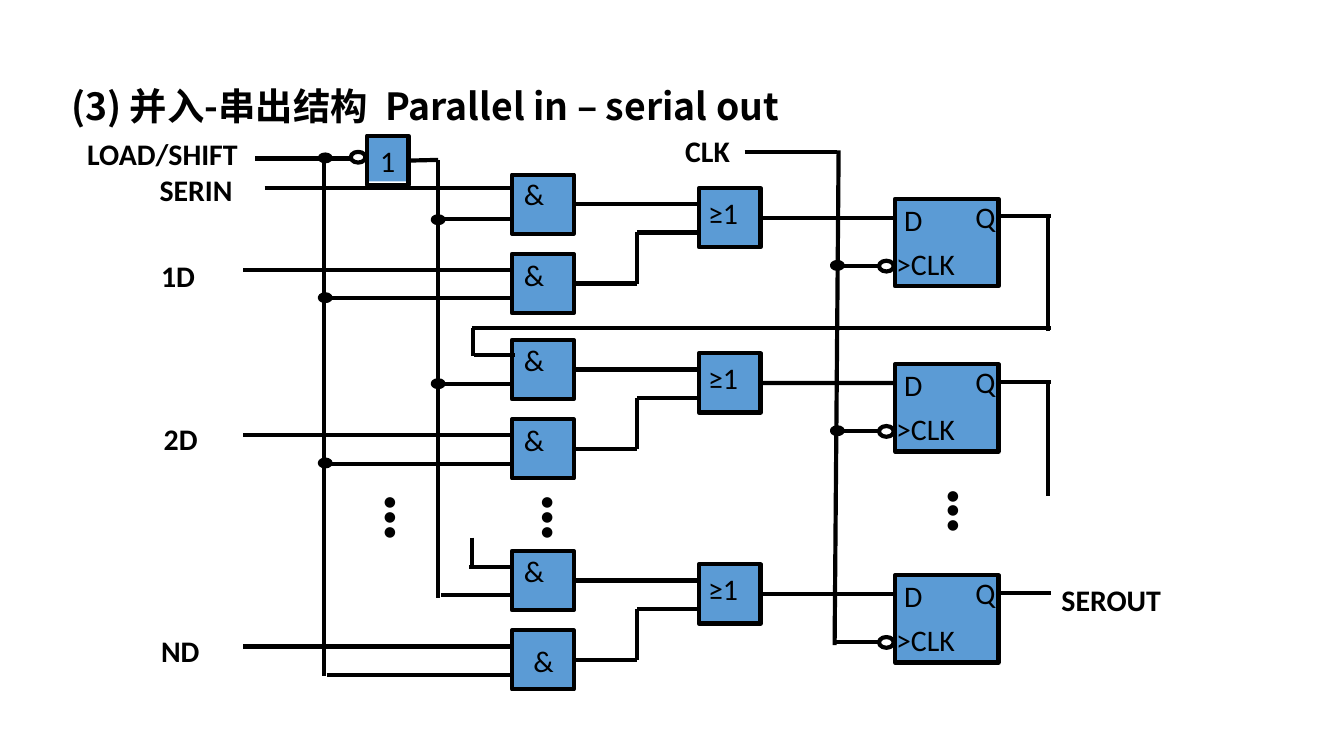
"""Build the parallel-in, serial-out shift register slide."""
from pptx import Presentation
from pptx.dml.color import RGBColor
from pptx.enum.shapes import MSO_CONNECTOR, MSO_SHAPE
from pptx.enum.text import MSO_ANCHOR, PP_ALIGN
from pptx.oxml.ns import qn
from pptx.util import Inches, Pt
from lxml import etree

BLACK, BLUE = "000000", "5B9BD5"
LABEL_FORMAT = {"name": "Calibri", "size": Pt(16), "bold": False}
BOLD_FORMAT = {**LABEL_FORMAT, "bold": True}
TITLE_FORMAT = {"name": "Noto Sans CJK JP", "size": Pt(20), "bold": True}
RIGHT_SIDE = 3
GATE_SIZE = (0.46, 0.44)

presentation = Presentation()
presentation.slide_width = Inches(10)
presentation.slide_height = Inches(10) * 9 // 16
slide = presentation.slides.add_slide(presentation.slide_layouts[6])


def add_box(left, top, width, height, kind=None, fill=None, outline=True, text="", formats=LABEL_FORMAT):
    position = [Inches(value) for value in (left, top, width, height)]
    if kind is None:
        shape = slide.shapes.add_textbox(*position)
    else:
        shape = slide.shapes.add_shape(kind, *position)
        shape.shadow.inherit = False
        if fill:
            shape.fill.solid()
            shape.fill.fore_color.rgb = RGBColor.from_string(fill)
        else:
            shape.fill.background()
        if outline:
            shape.line.color.rgb = RGBColor.from_string(BLACK)
            shape.line.width = Pt(2.25)
        else:
            shape.line.fill.background()
    if text:
        frame = shape.text_frame
        frame.word_wrap = True
        frame.vertical_anchor = MSO_ANCHOR.TOP
        paragraph = frame.paragraphs[0]
        paragraph.alignment = PP_ALIGN.LEFT
        run = paragraph.add_run()
        run.text = text
        for name, value in formats.items():
            setattr(run.font, name, value)
        run.font.color.rgb = RGBColor.from_string(BLACK)
    return shape


def add_line(x1, y1, x2, y2, source=None):
    line = slide.shapes.add_connector(
        MSO_CONNECTOR.STRAIGHT, Inches(x1), Inches(y1), Inches(x2), Inches(y2))
    line.line.color.rgb = RGBColor.from_string(BLACK)
    line.line.width = Pt(2.25)
    etree.SubElement(line.element.spPr, qn("a:effectLst"))
    if source is not None:
        line.begin_connect(source, RIGHT_SIDE)


title = add_box(0.43, 0.61, 8.08, 0.5, text="(3) 并入-串出结构  Parallel in – serial out", formats=TITLE_FORMAT)
title_paragraph = title.text_frame.paragraphs[0]
title_paragraph.line_spacing = 0.9
east_asian = etree.SubElement(title_paragraph.runs[0].font._element, qn("a:ea"))
east_asian.set("typeface", TITLE_FORMAT["name"])

stages = [
    ("1D", 1.1, 1.87, 1.3, 6.23, 3.8, 1.86),
    ("2D", 1.12, 3.08, 2.53, 6.23, 3.8, 3.09),
    ("ND", 1.1, 4.66, 4.1, 6.21, 3.87, 4.73),
]
for name, name_left, name_top, top, clock_x, and_left, and_top in stages:
    shift_gate = add_box(3.81, top, *GATE_SIZE, MSO_SHAPE.RECTANGLE, BLUE)
    load_gate = add_box(3.81, top + 0.59, *GATE_SIZE, MSO_SHAPE.RECTANGLE, BLUE)
    or_gate = add_box(5.2, top + 0.1, *GATE_SIZE, MSO_SHAPE.RECTANGLE, BLUE)
    add_box(6.66, top + 0.18, 0.77, 0.65, MSO_SHAPE.RECTANGLE, BLUE)
    add_box(6.54, top + 0.64, 0.11, 0.08, MSO_SHAPE.OVAL)
    for left, text_top, width, text in [
        (3.8, top - 0.04, 0.46, "&"),
        (and_left, and_top, 0.46, "&"),
        (5.17, top + 0.1, 0.71, "≥1"),
        (6.57, top + 0.48, 0.77, ">CLK"),
        (7.16, top + 0.13, 0.43, "Q"),
        (6.63, top + 0.15, 0.43, "D"),
    ]:
        add_box(left, text_top, width, 0.37, text=text)
    add_box(name_left, name_top, 0.77, 0.37, text=name, formats=BOLD_FORMAT)
    for x1, y1, x2, y2, source in [
        (4.27, 0.22, 5.2, 0.22, shift_gate),
        (4.27, 0.81, 4.74, 0.81, load_gate),
        (4.74, 0.43, 4.74, 0.81, None),
        (4.74, 0.43, 5.2, 0.43, None),
        (5.66, 0.32, 6.66, 0.32, or_gate),
        (7.43, 0.31, 7.82, 0.31, None),
        (clock_x, 0.68, 6.54, 0.68, None),
        (2.43, 0.92, 3.81, 0.92, None),
        (3.28, 0.33, 3.81, 0.33, None),
        (1.81, 0.71, 3.81, 0.71, None),
    ]:
        add_line(x1, top + y1, x2, top + y2, source)

add_box(2.72, 1.02, 0.31, 0.33, MSO_SHAPE.RECTANGLE, BLUE, outline=False)
inverter = add_box(2.73, 1.01, 0.31, 0.37, MSO_SHAPE.RECTANGLE, text="1")
add_box(2.61, 1.13, 0.11, 0.08, MSO_SHAPE.OVAL)
add_line(3.04, 1.19, 3.26, 1.19, inverter)

for wire in [
    (1.9, 1.18, 2.63, 1.18),
    (2.41, 1.18, 2.41, 5.03),
    (3.26, 1.19, 3.26, 4.45),
    (5.54, 1.13, 6.23, 1.13),
    (6.24, 1.12, 6.21, 4.8),
    (1.97, 1.4, 3.81, 1.4),
    (7.8, 1.61, 7.8, 2.46),
    (3.51, 2.44, 7.82, 2.44),
    (3.52, 2.44, 3.52, 2.65),
    (3.53, 2.64, 3.83, 2.64),
    (7.8, 2.84, 7.8, 3.69),
    (3.51, 4, 3.51, 4.22),
    (3.49, 4.22, 3.8, 4.22),
]:
    add_line(*wire)

for left, top, width, text in [
    (0.55, 0.96, 1.77, "LOAD/SHIFT"),
    (5, 0.94, 0.92, "CLK"),
    (1.09, 1.23, 1, "SERIN"),
    (7.8, 4.28, 1.46, "SEROUT"),
]:
    add_box(left, top, width, 0.37, text=text, formats=BOLD_FORMAT)

for left, top, height in [(2.67, 3.59, 1.75), (6.86, 3.54, 1.72), (3.84, 3.59, 1.47)]:
    ellipsis = add_box(left, top, 0.44, height, text="•••")
    ellipsis.element.txBody.bodyPr.set("vert", "eaVert")

for left, tops in [(2.38, (1.15, 2.19, 3.42)), (3.22, (1.61, 2.83)), (6.19, (1.95, 3.18))]:
    for top in tops:
        add_box(left, top, 0.08, 0.05, MSO_SHAPE.OVAL, BLACK)

presentation.save("out.pptx")
